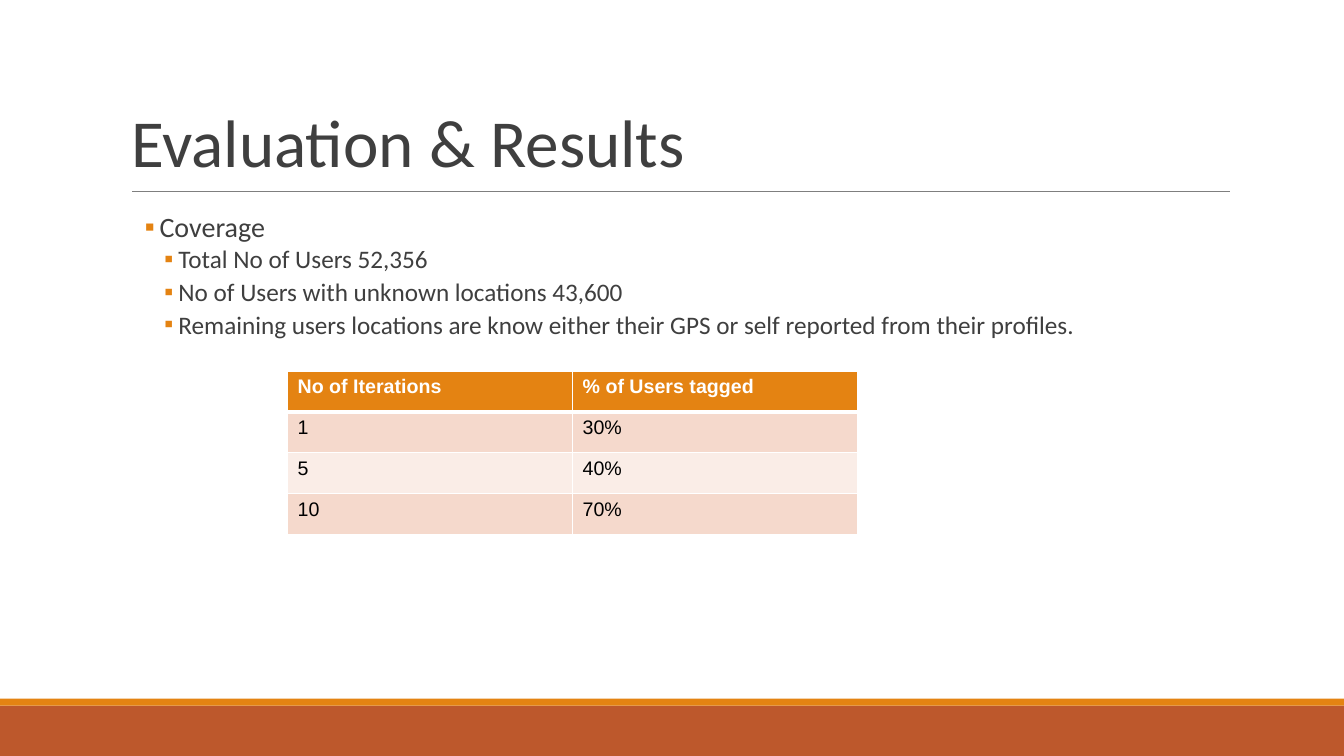
from dataclasses import dataclass

from lxml.etree import SubElement
from pptx import Presentation
from pptx.dml.color import RGBColor
from pptx.enum.shapes import MSO_CONNECTOR, MSO_SHAPE
from pptx.enum.text import MSO_ANCHOR, MSO_AUTO_SIZE, PP_ALIGN
from pptx.oxml.ns import qn
from pptx.util import Pt


@dataclass(frozen=True)
class Theme:
    orange: str = "E48312"
    rust: str = "BD582C"
    text: str = "3F3F3F"
    rule: str = "7F7F7F"
    white: str = "FFFFFF"
    black: str = "000000"
    bands: tuple = ("F5D9CC", "FAEDE7")
    body_font: str = "Calibri"
    table_font: str = "Arial"
    title_size: int = 48
    body_sizes: tuple = (20, 18)
    table_size: int = 14


THEME = Theme()
WIDTH, HEIGHT = 960, 540
BULLETS = [
    (0, "Coverage"),
    (1, "Total No of Users 52,356"),
    (1, "No of Users with unknown locations 43,600"),
    (1, "Remaining users locations are know either their GPS or self reported from their profiles."),
]
BULLET_LEFT = (10, 24)
TEXT_LEFT = (20.5, 34)
SPACE_AFTER = (2, 4)
RESULTS = [
    ("No of Iterations", "% of Users tagged"),
    ("1", "30%"),
    ("5", "40%"),
    ("10", "70%"),
]


def style(p, font, size, color, bold=False):
    for r in p.runs:
        r.font.name = font
        r.font.size = Pt(size)
        r.font.bold = bold
        r.font.color.rgb = RGBColor.from_string(color)


def set_frame(tf, anchor):
    tf.word_wrap = True
    tf.auto_size = MSO_AUTO_SIZE.NONE
    tf.vertical_anchor = anchor
    tf.margin_left = tf.margin_right = tf.margin_top = tf.margin_bottom = Pt(7.2)


def add_bullet(p, level):
    pPr = p._p.get_or_add_pPr()
    pPr.set("marL", str(Pt(TEXT_LEFT[level])))
    pPr.set("indent", str(Pt(BULLET_LEFT[level] - TEXT_LEFT[level])))
    color = SubElement(pPr, qn("a:buClr"))
    SubElement(color, qn("a:srgbClr"), val=THEME.orange)
    SubElement(pPr, qn("a:buFont"), typeface=THEME.body_font)
    SubElement(pPr, qn("a:buChar"), char="▪")


def add_borders(cell, bottom):
    tcPr = cell._tc.get_or_add_tcPr()
    widths = {"a:lnL": 1, "a:lnR": 1, "a:lnT": 1, "a:lnB": bottom}
    for i, (tag, width) in enumerate(widths.items()):
        ln = tcPr.makeelement(qn(tag), {"w": str(Pt(width))})
        fill = SubElement(ln, qn("a:solidFill"))
        SubElement(fill, qn("a:srgbClr"), val=THEME.white)
        tcPr.insert(i, ln)


def add_footer(slide, x, y, w, h):
    stripe = 5
    for top, height, color in ((y + stripe, h - stripe, THEME.rust), (y, stripe, THEME.orange)):
        s = slide.shapes.add_shape(MSO_SHAPE.RECTANGLE, Pt(x), Pt(top), Pt(w), Pt(height))
        s.shadow.inherit = False
        s.fill.solid()
        s.fill.fore_color.rgb = RGBColor.from_string(color)
        s.line.fill.background()


def add_title(slide, x, y, w, h):
    sp = slide.shapes.title
    sp.left, sp.top, sp.width, sp.height = Pt(x), Pt(y), Pt(w), Pt(h)
    set_frame(sp.text_frame, MSO_ANCHOR.BOTTOM)
    sp.text_frame.text = "Evaluation & Results"
    p = sp.text_frame.paragraphs[0]
    p.alignment = PP_ALIGN.LEFT
    p.line_spacing = 0.85
    style(p, THEME.body_font, THEME.title_size, THEME.text)

    left, bottom = x + 8, y + h
    line = slide.shapes.add_connector(
        MSO_CONNECTOR.STRAIGHT, Pt(left), Pt(bottom), Pt(x + w + 0.5), Pt(bottom))
    line.line.color.rgb = RGBColor.from_string(THEME.rule)
    line.line.width = Pt(0.75)
    SubElement(line._element.spPr, qn("a:effectLst"))


def add_body(slide, x, y, w, h):
    tf = slide.shapes.add_textbox(Pt(x), Pt(y), Pt(w), Pt(h)).text_frame
    set_frame(tf, MSO_ANCHOR.TOP)
    for i, (level, text) in enumerate(BULLETS):
        p = tf.add_paragraph() if i else tf.paragraphs[0]
        p.text = text
        p.level = level
        p.line_spacing = 0.9
        p.space_after = Pt(SPACE_AFTER[level])
        add_bullet(p, level)
        style(p, THEME.body_font, THEME.body_sizes[level], THEME.text)


def add_results(slide, x, y, w, h):
    rows, cols = len(RESULTS), len(RESULTS[0])
    table = slide.shapes.add_table(rows, cols, Pt(x), Pt(y), Pt(w), Pt(h)).table
    for column in table.columns:
        column.width = Pt(w / cols)
    for i, values in enumerate(RESULTS):
        table.rows[i].height = Pt(h / rows)
        header = i == 0
        for j, value in enumerate(values):
            cell = table.cell(i, j)
            cell.text = value
            cell.fill.solid()
            color = THEME.orange if header else THEME.bands[(i - 1) % 2]
            cell.fill.fore_color.rgb = RGBColor.from_string(color)
            add_borders(cell, 3 if header else 1)
            style(cell.text_frame.paragraphs[0], THEME.table_font, THEME.table_size,
                  THEME.white if header else THEME.black, header)


def main():
    prs = Presentation()
    prs.slide_width, prs.slide_height = Pt(WIDTH), Pt(HEIGHT)
    slide = prs.slides.add_slide(prs.slide_layouts[5])
    add_footer(slide, 0, 499, WIDTH, HEIGHT - 499)
    add_title(slide, 86.4, 22.4, 792, 114.4)
    add_body(slide, 86.4, 145.4, 792, 316.8)
    add_results(slide, 205.4, 265, 407.2, 116.8)
    prs.save("out.pptx")


if __name__ == "__main__":
    main()
